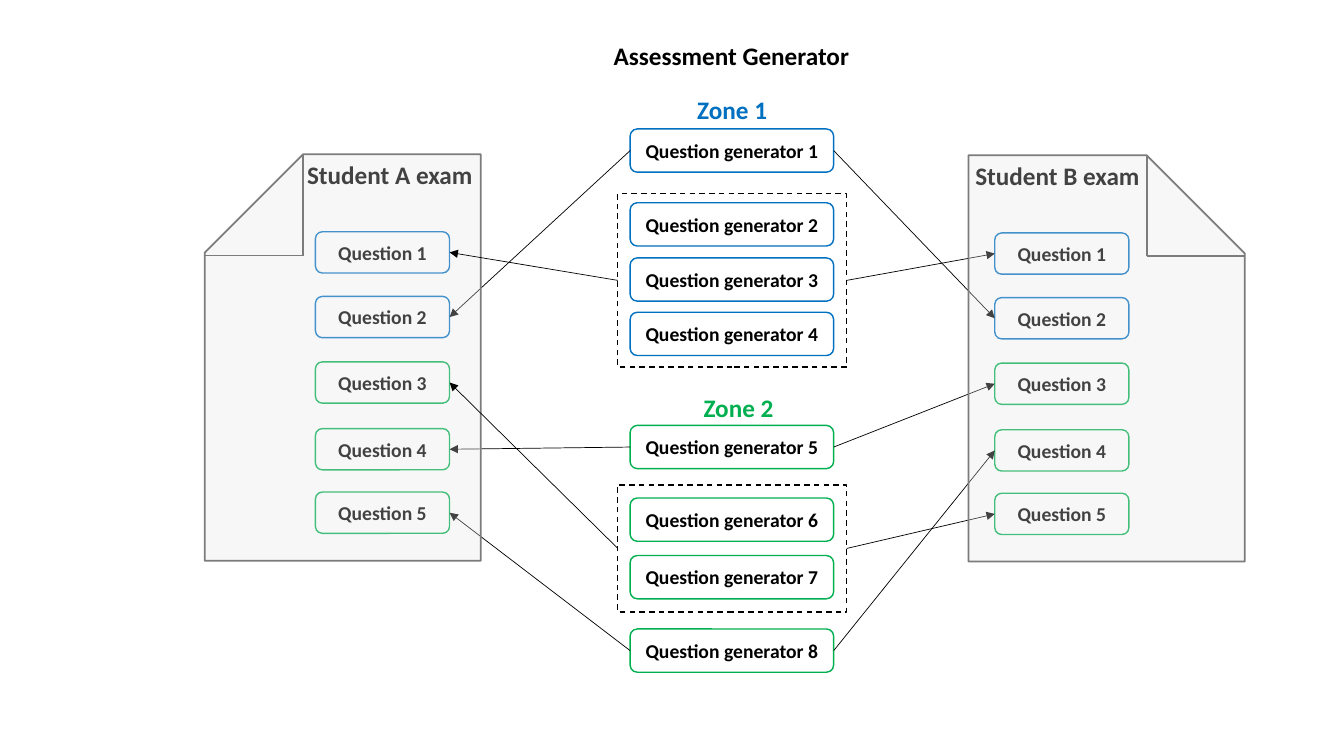
"""Build the assessment generator slide: question generators feeding two student exams."""
from lxml import etree
from pptx import Presentation
from pptx.dml.color import RGBColor
from pptx.enum.dml import MSO_LINE
from pptx.enum.shapes import MSO_CONNECTOR, MSO_SHAPE
from pptx.enum.text import MSO_ANCHOR, MSO_AUTO_SIZE, PP_ALIGN
from pptx.oxml.ns import qn
from pptx.util import Cm, Pt

ROUNDED, FRAME, SHEET = MSO_SHAPE.ROUNDED_RECTANGLE, MSO_SHAPE.RECTANGLE, MSO_SHAPE.SNIP_ROUND_RECTANGLE
STRAIGHT, DASH = MSO_CONNECTOR.STRAIGHT, MSO_LINE.DASH
CENTER, LEFT = PP_ALIGN.CENTER, PP_ALIGN.LEFT
MIDDLE, TOP = MSO_ANCHOR.MIDDLE, MSO_ANCHOR.TOP
GROW = MSO_AUTO_SIZE.SHAPE_TO_FIT_TEXT
LEFT_SITE, RIGHT_SITE = 1, 3

COLORS = {"black": "000000", "blue": "0070C0", "green": "00B050", "sheet": "E7E6E6", "edge": "7C7C7C"}

QUESTION_TOPS = [5.84, 7.47, 9.12, 10.8, 12.4]
GENERATOR_TOPS = [3.25, 5.11, 6.5, 7.87, 10.72, 12.55, 14.0, 15.85]
SHEET_WIDTH, SHEET_HEIGHT = 6.96, 10.24
FOLD_WIDTH, FOLD_HEIGHT = 2.47, 2.55


def write(box, text, size, color, boxed=False):
    frame = box.text_frame
    frame.word_wrap = boxed
    frame.vertical_anchor = MIDDLE if boxed else TOP
    if not boxed:
        frame.auto_size = GROW
    para = frame.paragraphs[0]
    para.alignment = CENTER if boxed else LEFT
    span = para.add_run()
    span.text = text
    span.font.name = "Calibri"
    span.font.size = Pt(size)
    span.font.bold = True
    span.font.color.rgb = RGBColor.from_string(COLORS[color])


def add_line(x1, y1, x2, y2, color, width):
    line = page.shapes.add_connector(STRAIGHT, Cm(x1), Cm(y1), Cm(x2), Cm(y2))
    line.line.color.rgb = RGBColor.from_string(COLORS[color])
    line.line.width = Pt(width)
    etree.SubElement(line._element.spPr, qn("a:effectLst"))
    return line


deck = Presentation()
deck.slide_width, deck.slide_height = Cm(33.87), Cm(19.05)
page = deck.slides.add_slide(deck.slide_layouts[5])

title = page.shapes.title
title.left, title.top, title.width, title.height = Cm(15.21), Cm(0.89), Cm(6.48), Cm(1.02)
write(title, "Assessment Generator", 18, "black")

labels = [
    ("Zone 1", 17.32, 2.24, 2.27, "blue"),
    ("Zone 2", 17.48, 9.75, 2.27, "green"),
    ("Student A exam", 7.49, 3.89, 4.72, "black"),
    ("Student B exam", 24.33, 3.91, 4.72, "black"),
]
for text, left, top, width, color in labels:
    label = page.shapes.add_textbox(Cm(left), Cm(top), Cm(width), Cm(1.02))
    write(label, text, 18, color)

boxes = {}
columns = [
    ("Question generator", 15.88, 0, GENERATOR_TOPS, 5.13, 1.09, 4),
    ("Question", 7.95, 0, QUESTION_TOPS, 3.38, 1.04, 2),
    ("Question", 25.07, 0.03, QUESTION_TOPS, 3.38, 1.04, 2),
]
for column, (name, left, shift, tops, width, height, blue_count) in enumerate(columns):
    for number, top in enumerate(tops, 1):
        color = "blue" if number <= blue_count else "green"
        box = page.shapes.add_shape(ROUNDED, Cm(left), Cm(top + shift), Cm(width), Cm(height))
        box.shadow.inherit = False
        box.fill.background()
        box.line.color.rgb = RGBColor.from_string(COLORS[color])
        box.line.width = Pt(1)
        write(box, f"{name} {number}", 14, color="black", boxed=True)
        boxes[column, number] = box

pools = []
for top, height in [(4.88, 4.37), (12.22, 3.2)]:
    pool = page.shapes.add_shape(FRAME, Cm(15.57), Cm(top), Cm(5.77), Cm(height))
    pool.shadow.inherit = False
    pool.fill.background()
    pool.line.color.rgb = RGBColor.from_string(COLORS["black"])
    pool.line.width = Pt(1)
    pool.line.dash_style = DASH
    pools.append(pool)

first, fifth, eighth = (boxes[0, number] for number in (1, 5, 8))
exams = [
    (1, 5.16, 3.89, True, [(first, 2), (fifth, 4), (eighth, 5)], [(pools[0], 1), (pools[1], 3)]),
    (2, 24.41, 3.91, False, [(first, 2), (fifth, 3), (eighth, 4), (pools[0], 1), (pools[1], 5)], []),
]
for column, left, top, mirrored, links_below, links_above in exams:
    for layer in (links_below, "sheet", links_above):
        if layer == "sheet":
            sheet = page.shapes.add_shape(SHEET, Cm(left), Cm(top), Cm(SHEET_WIDTH), Cm(SHEET_HEIGHT))
            sheet.shadow.inherit = False
            sheet.adjustments[0], sheet.adjustments[1] = 0, 0.356
            sheet.fill.solid()
            sheet.fill.fore_color.rgb = RGBColor.from_string(COLORS["sheet"])
            fill_color = sheet._element.spPr.find(".//" + qn("a:srgbClr"))
            etree.SubElement(fill_color, qn("a:alpha"), val="29000")
            sheet.line.color.rgb = RGBColor.from_string(COLORS["edge"])
            sheet.line.width = Pt(1.25)
            if mirrored:
                sheet._element.spPr.find(qn("a:xfrm")).set("flipH", "1")
            outer = left if mirrored else left + SHEET_WIDTH
            inner = outer + FOLD_WIDTH if mirrored else outer - FOLD_WIDTH
            fold = top + FOLD_HEIGHT
            add_line(outer, fold, inner, fold, "edge", 1.25)
            add_line(inner, top, inner, fold, "edge", 1.25)
            continue
        for source, number in layer:
            arrow = add_line(0, 0, 1, 1, "black", 0.5)
            arrow.begin_connect(source, LEFT_SITE if mirrored else RIGHT_SITE)
            arrow.end_connect(boxes[column, number], RIGHT_SITE if mirrored else LEFT_SITE)
            etree.SubElement(arrow._element.spPr.find(qn("a:ln")), qn("a:tailEnd"), type="triangle")

deck.save("out.pptx")
